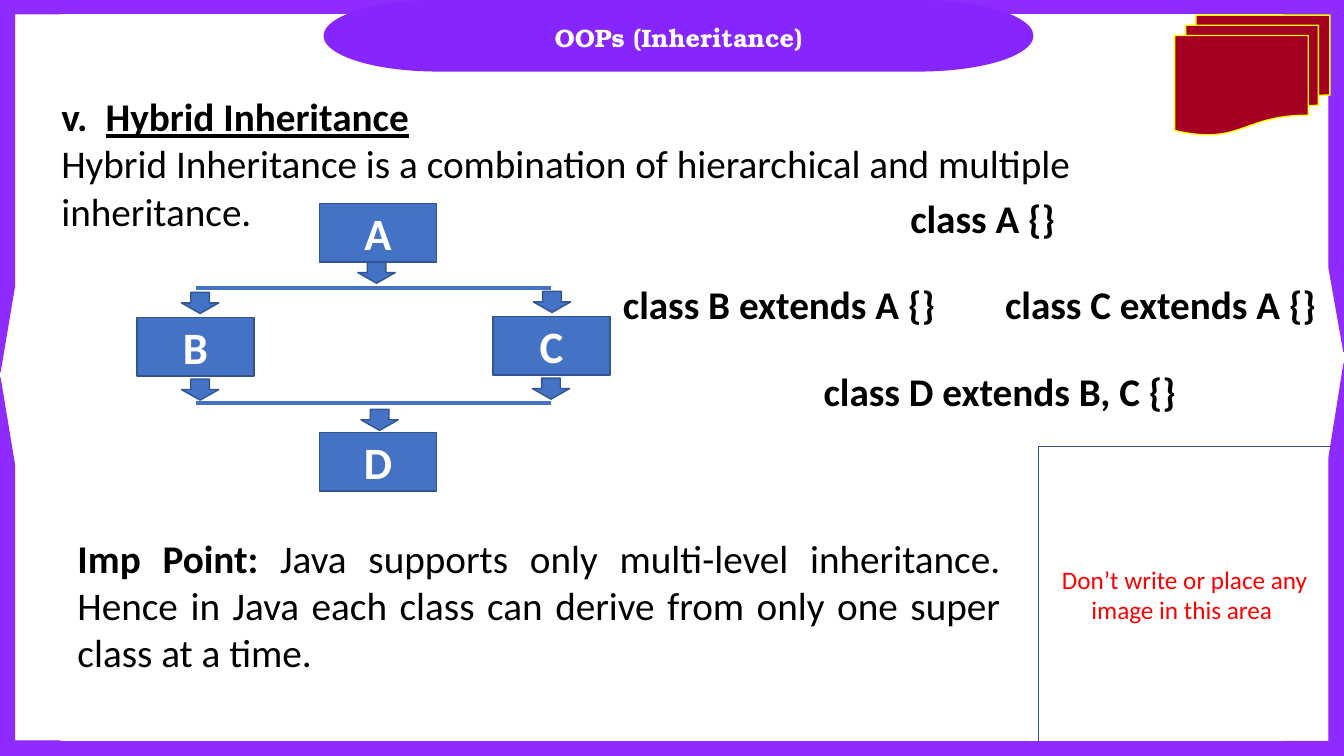
"""Build the slide on hybrid inheritance in object-oriented programming."""
import pptx
import pptx.dml.color
import pptx.enum.shapes
import pptx.enum.text
import pptx.oxml.ns
import pptx.util
from lxml import etree

PX = 9144
PURPLE = pptx.dml.color.RGBColor(0x90, 0x2B, 0xFF)
BANNER = pptx.dml.color.RGBColor(0x87, 0x25, 0xFE)
CRIMSON = pptx.dml.color.RGBColor(0xA5, 0x00, 0x21)
YELLOW = pptx.dml.color.RGBColor(0xFF, 0xFF, 0x00)
RED = pptx.dml.color.RGBColor(0xFF, 0x00, 0x00)
BLUE = pptx.dml.color.RGBColor(0x44, 0x72, 0xC4)
DARK_BLUE = pptx.dml.color.RGBColor(0x32, 0x54, 0x91)
WHITE = pptx.dml.color.RGBColor(0xFF, 0xFF, 0xFF)
BLACK = pptx.dml.color.RGBColor(0x00, 0x00, 0x00)
KIND = pptx.enum.shapes.MSO_SHAPE
ALIGN = pptx.enum.text.PP_ALIGN
qn = pptx.oxml.ns.qn

presentation = pptx.Presentation()
presentation.slide_width = 1333 * PX
presentation.slide_height = 750 * PX
slide = presentation.slides.add_slide(presentation.slide_layouts[5])


def add_shape(kind, box, fill, line=None):
    """Add a filled preset shape, outlined if a line colour is given."""
    shape = slide.shapes.add_shape(kind, *[length * PX for length in box])
    shape.shadow.inherit = False
    shape.fill.solid()
    shape.fill.fore_color.rgb = fill
    if line is None:
        shape.line.fill.background()
    else:
        shape.line.color.rgb = line
        shape.line.width = pptx.util.Pt(1)
    return shape


def add_run(paragraph, text, size, color=BLACK, bold=False, font="Calibri"):
    """Add a formatted run to a paragraph."""
    run = paragraph.add_run()
    run.text = text
    run.font.size = pptx.util.Pt(size)
    run.font.name = font
    run.font.bold = bold
    run.font.color.rgb = color
    return run


note_area = add_shape(KIND.RECTANGLE, (1030, 443, 290, 293), WHITE, DARK_BLUE)
note_area.text_frame.vertical_anchor = pptx.enum.text.MSO_ANCHOR.MIDDLE
note_area.text_frame.word_wrap = True
paragraph = note_area.text_frame.paragraphs[0]
paragraph.alignment = ALIGN.CENTER
add_run(paragraph, "Don’t write or place any image in this area ", 18, RED)

for box, rotation, flipped, adjustments in [
    ((0, 0, 62, 369), 0, False, (0.22, 0.23)),
    ((1271, 0, 62, 349), 0, True, (0.23, 0.24)),
    ((0, 375, 62, 375), 180, True, (0.24, 0.23)),
    ((1271, 361, 62, 389), 180, False, (0.23, 0.24)),
]:
    corner = add_shape(KIND.HALF_FRAME, box, PURPLE, PURPLE)
    corner.rotation = rotation
    corner.adjustments[0], corner.adjustments[1] = adjustments
    if flipped:
        corner.element.spPr.find(qn("a:xfrm")).set("flipH", "1")

for top in (-1, 736):
    add_shape(KIND.RECTANGLE, (0, top, 1333, 14), PURPLE, PURPLE)
add_shape(KIND.FLOWCHART_TERMINATOR, (321, 0, 704, 71), BANNER)
add_shape(KIND.FLOWCHART_MULTIDOCUMENT, (1165, 15, 154, 119), CRIMSON, YELLOW)

title = slide.shapes.title
title.left, title.top, title.width, title.height = [
    length * PX for length in (332, 17, 682, 40)]
title.text_frame.auto_size = pptx.enum.text.MSO_AUTO_SIZE.NONE
title.text_frame.vertical_anchor = pptx.enum.text.MSO_ANCHOR.TOP
paragraph = title.text_frame.paragraphs[0]
paragraph.alignment = ALIGN.CENTER
add_run(paragraph, "OOPs (Inheritance)", 18, WHITE, True, "TeX Gyre Bonum")
slide.shapes.element.append(title.element)

definition = slide.shapes.add_textbox(51 * PX, 87 * PX, 1094 * PX, 151 * PX)
definition.text_frame.word_wrap = True
paragraph = definition.text_frame.paragraphs[0]
properties = paragraph._p.get_or_add_pPr()
properties.set("marL", str(44 * PX))
properties.set("indent", str(-44 * PX))
etree.SubElement(properties, qn("a:buAutoNum"), type="romanLcPeriod", startAt="5")
add_run(paragraph, "Hybrid Inheritance", 28, bold=True).font.underline = True
add_run(definition.text_frame.add_paragraph(),
        "Hybrid Inheritance is a combination of hierarchical and multiple inheritance.", 28)

for name, left, top in [("A", 317, 202), ("D", 317, 429), ("C", 489, 314), ("B", 136, 315)]:
    class_box = add_shape(KIND.RECTANGLE, (left, top, 116, 58), BLUE, DARK_BLUE)
    class_box.text_frame.vertical_anchor = pptx.enum.text.MSO_ANCHOR.MIDDLE
    paragraph = class_box.text_frame.paragraphs[0]
    paragraph.alignment = ALIGN.CENTER
    add_run(paragraph, name, 32, WHITE, True)

for top in (286, 400):
    branch = slide.shapes.add_connector(
        pptx.enum.shapes.MSO_CONNECTOR.STRAIGHT, 194 * PX, top * PX, 547 * PX, top * PX)
    branch.line.color.rgb = BLUE
    branch.line.width = pptx.util.Pt(3)
    etree.SubElement(branch.element.spPr, qn("a:effectLst"))

for left, top in [(355, 260), (180, 290), (529, 289), (358, 406), (180, 376), (528, 375)]:
    add_shape(KIND.DOWN_ARROW, (left, top, 37, 21), BLUE, DARK_BLUE)

important = slide.shapes.add_textbox(67 * PX, 525 * PX, 935 * PX, 151 * PX)
important.text_frame.word_wrap = True
paragraph = important.text_frame.paragraphs[0]
paragraph.alignment = ALIGN.JUSTIFY
add_run(paragraph, "Imp Point:", 28, bold=True)
add_run(paragraph, " Java supports only multi-level inheritance. Hence in Java each class "
        "can derive from only one super class at a time.", 28)

for code, left, top, width in [
    ("class A {}", 893, 188, 166),
    ("class B extends A {}", 608, 273, 334),
    ("class C extends A {}", 987, 273, 332),
    ("class D extends B, C {}", 807, 359, 374),
]:
    declaration = slide.shapes.add_textbox(left * PX, top * PX, width * PX, 57 * PX)
    declaration.text_frame.word_wrap = False
    add_run(declaration.text_frame.paragraphs[0], code, 28, bold=True)

presentation.save("out.pptx")
